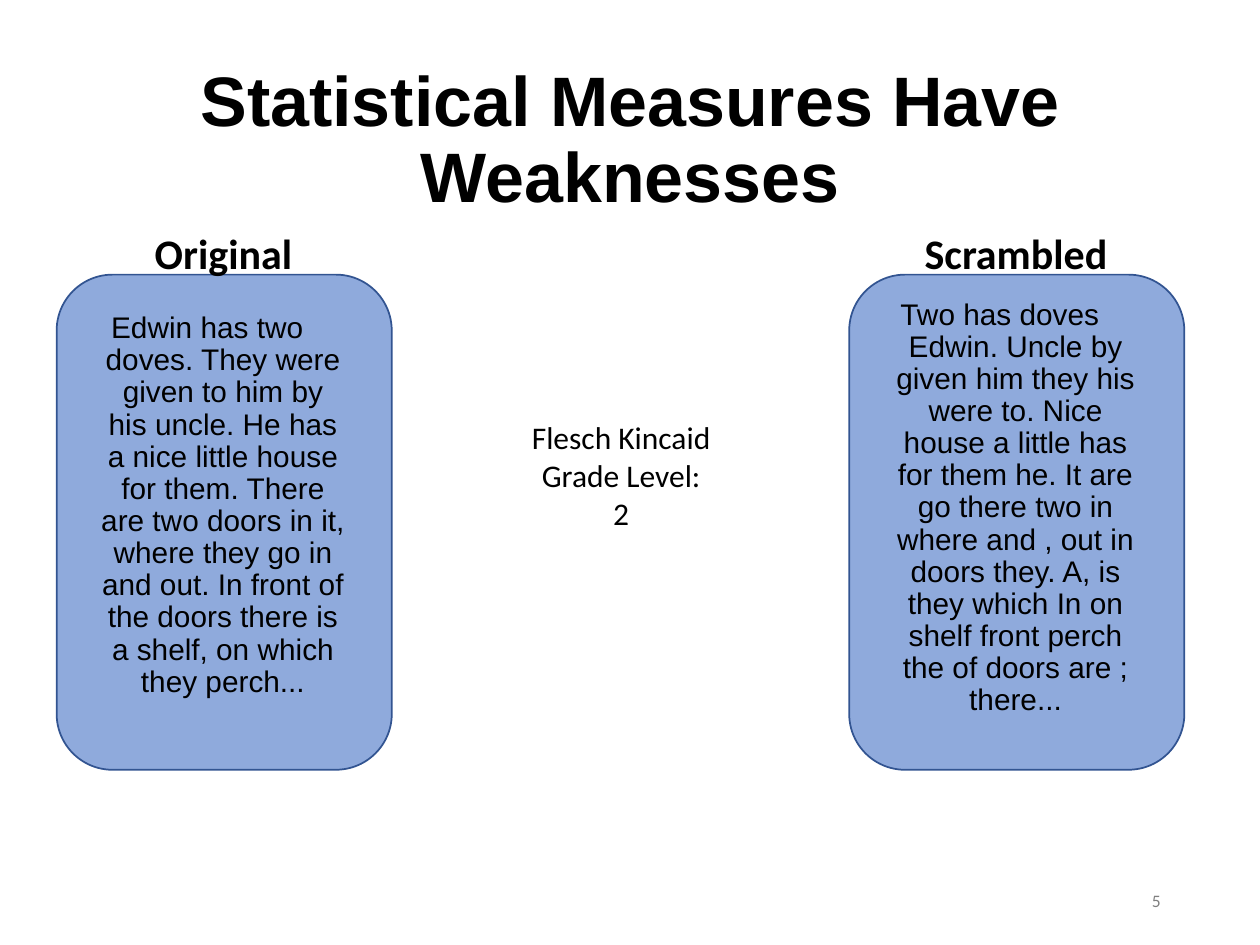
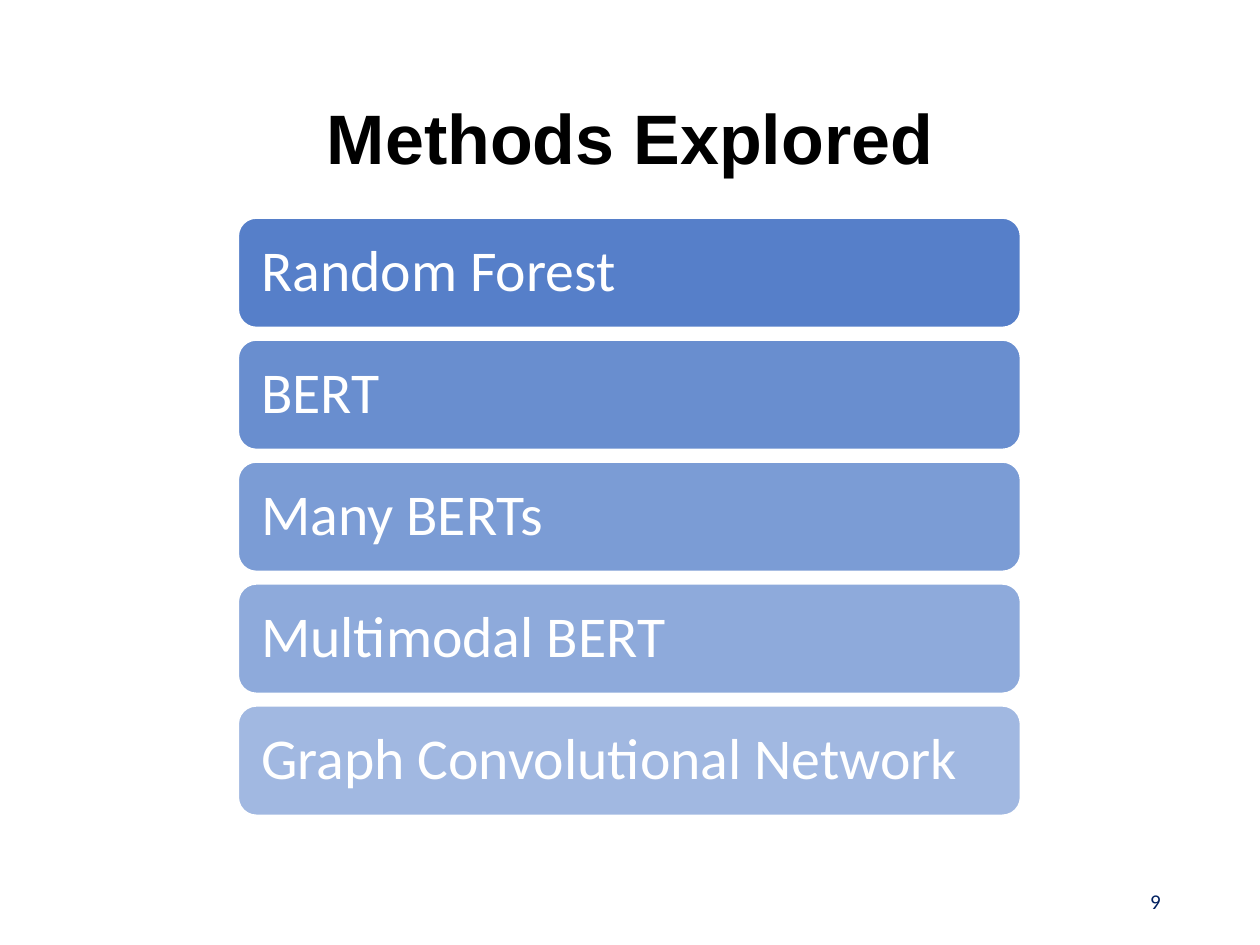
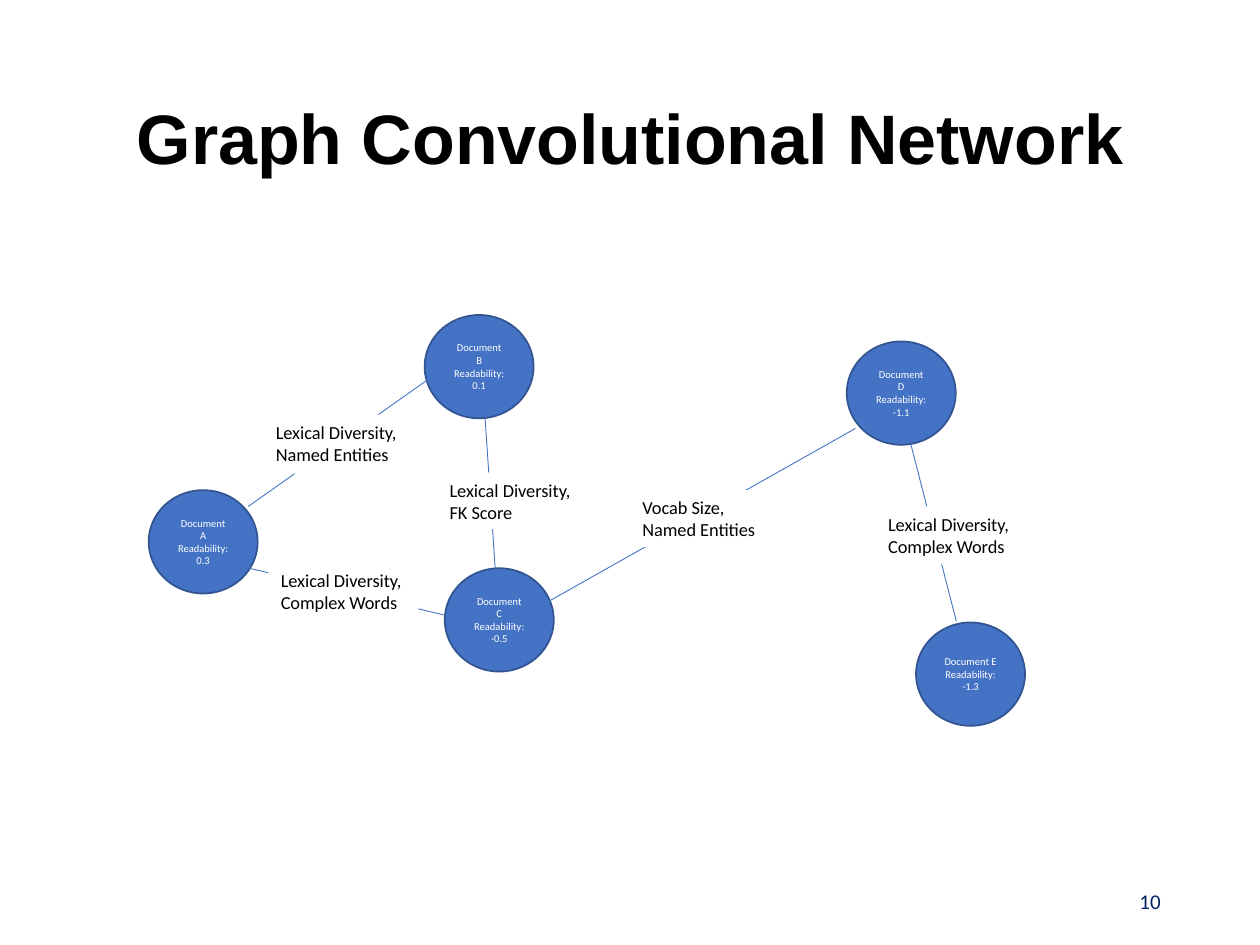
from dataclasses import dataclass

from lxml import etree
from pptx import Presentation
from pptx.dml.color import RGBColor
from pptx.enum.shapes import MSO_CONNECTOR, MSO_SHAPE
from pptx.enum.text import MSO_ANCHOR, PP_ALIGN
from pptx.oxml.ns import qn
from pptx.util import Inches, Pt

LEFT, CENTER, RIGHT = PP_ALIGN.LEFT, PP_ALIGN.CENTER, PP_ALIGN.RIGHT
TOP, MIDDLE = MSO_ANCHOR.TOP, MSO_ANCHOR.MIDDLE
RECTANGLE, ROUNDED = MSO_SHAPE.RECTANGLE, MSO_SHAPE.ROUNDED_RECTANGLE
CIRCLE = MSO_SHAPE.FLOWCHART_CONNECTOR
STRAIGHT = MSO_CONNECTOR.STRAIGHT

# Slide grid: 100 columns by 75 rows
SLIDE_WIDTH, SLIDE_HEIGHT = Inches(10), Inches(7.5)
COLUMN, ROW = SLIDE_WIDTH / 100, SLIDE_HEIGHT / 75

BLACK = RGBColor(0x00, 0x00, 0x00)
WHITE = RGBColor(0xFF, 0xFF, 0xFF)
BLUE = RGBColor(0x44, 0x72, 0xC4)
PALE_BLUE = RGBColor(0x8F, 0xAA, 0xDC)
OUTLINE_BLUE = RGBColor(0x32, 0x54, 0x91)
NAVY = RGBColor(0x00, 0x20, 0x60)
GRAY = RGBColor(0x80, 0x80, 0x80)


@dataclass(frozen=True)
class Box:
    """A place on the grid, in columns and rows."""
    column: float
    row: float
    columns: float
    rows: float

    def lengths(self) -> tuple[int, int, int, int]:
        return (round(self.column * COLUMN), round(self.row * ROW),
                round(self.columns * COLUMN), round(self.rows * ROW))


@dataclass(frozen=True)
class TextStyle:
    size: float
    color: RGBColor = BLACK
    font: str = "Calibri"
    bold: bool = False
    align: PP_ALIGN = LEFT
    anchor: MSO_ANCHOR = TOP
    line_spacing: float = 1.0
    hanging: float = 0
    wrap: bool = True


@dataclass(frozen=True)
class Passage:
    heading: str
    heading_box: Box
    text: str
    text_box: Box
    panel_box: Box
    bottom_margin: float = 0.05


@dataclass(frozen=True)
class Document:
    name: str
    readability: str
    column: float
    row: float


@dataclass(frozen=True)
class Link:
    start: tuple[float, float]
    end: tuple[float, float]
    label: str
    label_box: Box


TITLE = TextStyle(40, font="Arial", bold=True, align=CENTER, anchor=MIDDLE, line_spacing=0.9)
NUMBER = TextStyle(12, NAVY, align=RIGHT, anchor=MIDDLE)
SMALL_NUMBER = TextStyle(10, GRAY, align=RIGHT, anchor=MIDDLE)
HEADING = TextStyle(24, bold=True, wrap=False)
PASSAGE = TextStyle(17, font="Arial", align=CENTER, anchor=MIDDLE, line_spacing=0.9, hanging=0.25)
SCORE = TextStyle(18, align=CENTER)
METHOD = TextStyle(33, WHITE, anchor=MIDDLE, line_spacing=0.9)
NODE = TextStyle(6, WHITE, align=CENTER, anchor=MIDDLE)
LABEL = TextStyle(10.5)

TITLE_BOX = Box(6.9, 4, 86.2, 14.5)
NUMBER_BOX = Box(70.6, 69.5, 22.5, 4)


# Drawing helpers
def write(shape, lines: list[str], style: TextStyle):
    frame = shape.text_frame
    frame.word_wrap = style.wrap
    frame.vertical_anchor = style.anchor
    for index, line in enumerate(lines):
        paragraph = frame.add_paragraph() if index else frame.paragraphs[0]
        paragraph.text = line
        paragraph.alignment = style.align
        paragraph.line_spacing = style.line_spacing
        if style.hanging:
            properties = paragraph._p.get_or_add_pPr()
            properties.set("marL", str(Inches(style.hanging)))
            properties.set("indent", str(-Inches(style.hanging)))
        font = paragraph.font
        font.name, font.size, font.bold = style.font, Pt(style.size), style.bold
        font.color.rgb = style.color
    return frame


def add_text(slide, box: Box, lines: list[str], style: TextStyle):
    return write(slide.shapes.add_textbox(*box.lengths()), lines, style)


def add_block(slide, kind: MSO_SHAPE, box: Box, fill: RGBColor, outline: RGBColor | None = None):
    shape = slide.shapes.add_shape(kind, *box.lengths())
    shape.shadow.inherit = False
    shape.fill.solid()
    shape.fill.fore_color.rgb = fill
    if outline is None:
        shape.line.fill.background()
    else:
        shape.line.color.rgb = outline
        shape.line.width = Pt(1)
    return shape


def set_opacity(shape, percent: int) -> None:
    color = shape.fill._xPr.find(f"{qn('a:solidFill')}/{qn('a:srgbClr')}")
    etree.SubElement(color, qn("a:alpha")).set("val", str(percent * 1000))


def add_line(slide, start: tuple[float, float], end: tuple[float, float]) -> None:
    points = [round(value * unit) for point in (start, end)
              for value, unit in zip(point, (COLUMN, ROW))]
    connector = slide.shapes.add_connector(STRAIGHT, *points)
    connector.line.color.rgb = BLUE
    connector.line.width = Pt(0.5)
    etree.SubElement(connector._element.spPr, qn("a:effectLst"))


def add_page(presentation, title: str, number: int, number_style: TextStyle = NUMBER):
    slide = presentation.slides.add_slide(presentation.slide_layouts[6])
    add_text(slide, TITLE_BOX, [title], TITLE)
    add_text(slide, NUMBER_BOX, [str(number)], number_style)
    return slide


# Slide contents
PASSAGES = [
    Passage("Original", Box(11.3, 17.6, 13, 5),
            "Edwin has two doves. They were given to him by his uncle. He has a nice little "
            "house for them. There are two doors in it, where they go in and out. In front of "
            "the doors there is a shelf, on which they perch...",
            Box(4.5, 20, 23.9, 43), Box(4.5, 21.8, 26.6, 39.3), bottom_margin=0.32),
    Passage("Scrambled", Box(72.4, 17.6, 16.7, 5),
            "Two has doves Edwin. Uncle by given him they his were to. Nice house a little has "
            "for them he. It are go there two in where and , out in doors they. A, is they "
            "which In on shelf front perch the of doors are ; there...",
            Box(67.4, 21.7, 23.9, 37.3), Box(67.4, 21.8, 26.6, 39.3)),
]

METHODS = ["Random Forest", "BERT", "Many BERTs", "Multimodal BERT",
           "Graph Convolutional Network"]
FIRST_METHOD = Box(18.9, 17.3, 62.1, 8.7)
METHOD_STEP = 9.68

NODE_WIDTH, NODE_HEIGHT = 8.65, 8.2
DOCUMENTS = [
    Document("A", "0.3", 11.8, 38.9),
    Document("B", "0.1", 33.7, 25),
    Document("E", "-1.3", 72.7, 49.4),
    Document("D", "-1.1", 67.2, 27.1),
    Document("C", "-0.5", 35.3, 45.1),
]
LINKS = [
    Link((34, 30.1), (19.7, 40.2), "Lexical Diversity, Named Entities",
         Box(20.9, 32.9, 14.5, 4.7)),
    Link((38.5, 33.2), (39.3, 45.1), "Lexical Diversity, FK Score",
         Box(34.7, 37.5, 12.7, 4.5)),
    Link((19.8, 45.1), (35.2, 48.8), "Lexical Diversity, Complex Words",
         Box(21.3, 44.7, 11.9, 4.6)),
    Link((67.9, 34), (43.6, 47.7), "Vocab Size, Named Entities",
         Box(50, 38.9, 12.7, 4.5)),
    Link((72.3, 35.3), (75.9, 49.3), "Lexical Diversity, Complex Words",
         Box(69.5, 40.2, 11.9, 4.6)),
]


def build_weaknesses(presentation) -> None:
    slide = add_page(presentation, "Statistical Measures Have Weaknesses", 5, SMALL_NUMBER)
    for passage in PASSAGES:
        add_block(slide, ROUNDED, passage.panel_box, PALE_BLUE, OUTLINE_BLUE)
        frame = add_text(slide, passage.text_box, [passage.text], PASSAGE)
        frame.margin_bottom = Inches(passage.bottom_margin)
        add_text(slide, passage.heading_box, [passage.heading], HEADING)
    add_text(slide, Box(38.4, 32.7, 21.8, 10.1), ["Flesch Kincaid Grade Level:", "2"], SCORE)


def build_methods(presentation) -> None:
    slide = add_page(presentation, "Methods Explored", 9)
    first = FIRST_METHOD
    for index, method in enumerate(METHODS):
        box = Box(first.column, first.row + index * METHOD_STEP, first.columns, first.rows)
        bar = add_block(slide, ROUNDED, box, BLUE, WHITE)
        set_opacity(bar, 90 - 10 * index)
        frame = write(bar, [method], METHOD)
        frame.margin_left = frame.margin_right = Inches(0.14)


def build_network(presentation) -> None:
    slide = add_page(presentation, "Graph Convolutional Network", 10)
    for document in DOCUMENTS:
        box = Box(document.column, document.row, NODE_WIDTH, NODE_HEIGHT)
        node = add_block(slide, CIRCLE, box, BLUE, OUTLINE_BLUE)
        write(node, [f"Document {document.name}", f"Readability:{document.readability}"], NODE)
    for link in LINKS:
        add_line(slide, link.start, link.end)
    for link in LINKS:
        write(add_block(slide, RECTANGLE, link.label_box, WHITE), [link.label], LABEL)


def main() -> None:
    presentation = Presentation()
    presentation.slide_width, presentation.slide_height = SLIDE_WIDTH, SLIDE_HEIGHT
    build_weaknesses(presentation)
    build_methods(presentation)
    build_network(presentation)
    presentation.save("out.pptx")


if __name__ == "__main__":
    main()
